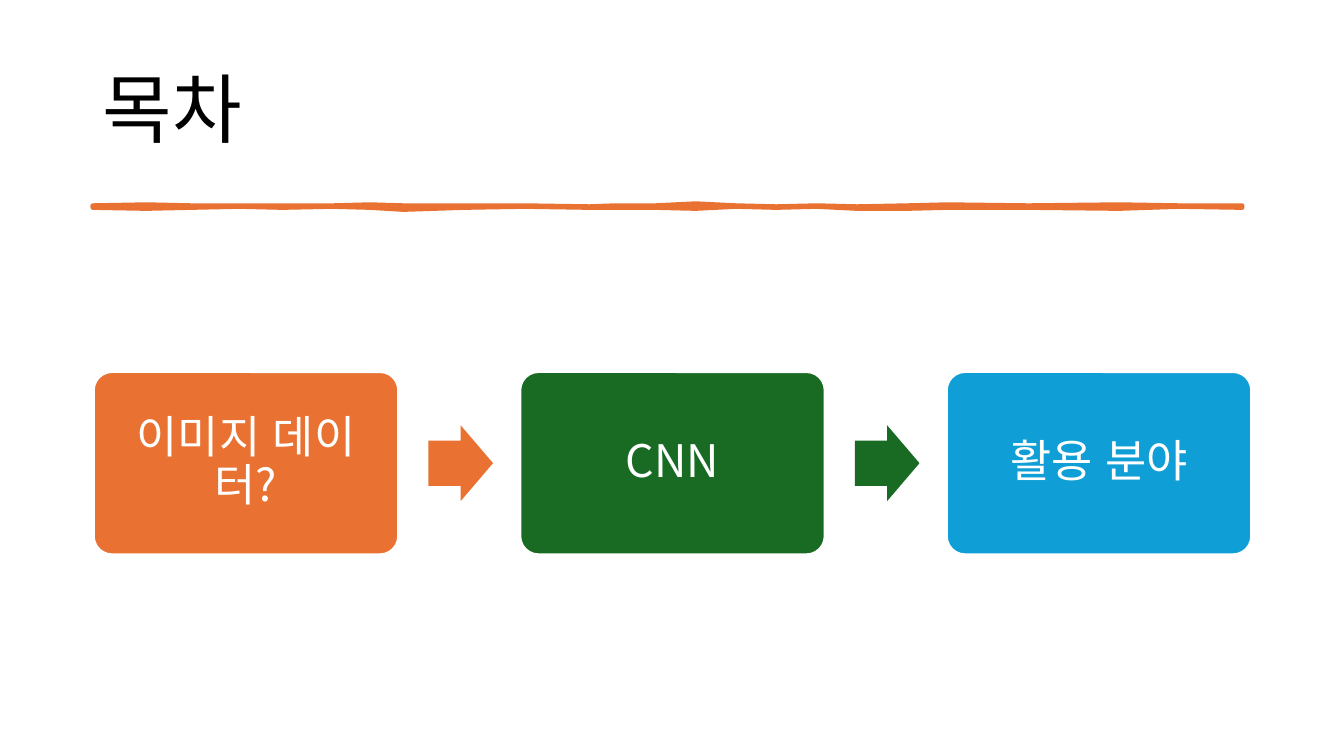
import pptx
import pptx.dml.color
import pptx.enum.lang
import pptx.enum.shapes
import pptx.enum.text
import pptx.oxml
import pptx.oxml.ns
import pptx.util

Inches, Pt = pptx.util.Inches, pptx.util.Pt
SHAPE = pptx.enum.shapes.MSO_SHAPE
ALIGN = pptx.enum.text.PP_ALIGN
MIDDLE = pptx.enum.text.MSO_ANCHOR.MIDDLE

FONT = "Noto Sans CJK KR"
ORANGE, GREEN, BLUE = "E97132", "196B24", "0F9ED5"
WHITE, BLACK = "FFFFFF", "000000"

TITLE = "목차"
STEPS = [("이미지 데이터?", ORANGE), ("CNN", GREEN), ("활용 분야", BLUE)]

# Hand-drawn rule: (x, upper edge, lower edge)
RULE = [
    (0.92, 2.04, 2.06), (1.45, 2.03, 2.07), (1.9, 2.04, 2.06),
    (2.37, 2.04, 2.05), (2.8, 2.04, 2.06), (3.3, 2.04, 2.05),
    (3.67, 2.03, 2.06), (4.0, 2.04, 2.08), (4.6, 2.04, 2.06),
    (5.2, 2.04, 2.05), (5.85, 2.05, 2.06), (6.1, 2.04, 2.06),
    (6.5, 2.04, 2.06), (6.9, 2.02, 2.07), (7.3, 2.04, 2.05),
    (7.7, 2.05, 2.06), (8.1, 2.04, 2.05), (8.5, 2.05, 2.07),
    (9.0, 2.04, 2.07), (9.4, 2.03, 2.06), (10.2, 2.04, 2.06),
    (11.1, 2.03, 2.07), (11.7, 2.04, 2.05), (12.32, 2.04, 2.06),
]

BOX_LEFT, BOX_TOP, BOX_W, BOX_H = 0.93, 3.69, 3.02, 1.81
BOX_STEP = 4.23
ARROW_OFFSET, ARROW_W, ARROW_H = 3.32, 0.64, 0.75
BOX_INSET = 0.13


def color(hex_string):
    return pptx.dml.color.RGBColor.from_string(hex_string)


def paint(shape, fill, line=None, width=0):
    shape.shadow.inherit = False
    shape.fill.solid()
    shape.fill.fore_color.rgb = color(fill)
    if line:
        shape.line.color.rgb = color(line)
        shape.line.width = Pt(width)
    else:
        shape.line.fill.background()


def write(shape, text, size, text_color, align):
    frame = shape.text_frame
    frame.text = text
    frame.word_wrap = True
    frame.vertical_anchor = MIDDLE
    paragraph = frame.paragraphs[0]
    paragraph.alignment = align
    paragraph.line_spacing = 0.9
    # Closing punctuation stays inside the margins
    paragraph._p.get_or_add_pPr().set("hangingPunct", "0")
    font = paragraph.font
    font.size = Pt(size)
    font.color.rgb = color(text_color)
    font.name = FONT
    font.language_id = pptx.enum.lang.MSO_LANGUAGE_ID.KOREAN
    # Hangul takes the East Asian typeface
    latin = paragraph._p.find(".//" + pptx.oxml.ns.qn("a:latin"))
    latin.addnext(pptx.oxml.parse_xml(
        f'<a:ea {pptx.oxml.ns.nsdecls("a")} typeface="{FONT}"/>'))


def add_rule(slide):
    upper = [(Inches(x), Inches(top)) for x, top, _ in RULE]
    lower = [(Inches(x), Inches(bottom)) for x, _, bottom in reversed(RULE)]
    builder = slide.shapes.build_freeform(*upper[0])
    builder.add_line_segments(upper[1:] + lower, close=True)
    paint(builder.convert_to_shape(), ORANGE, ORANGE, 3.25)


def add_step(slide, index, label, fill):
    left = BOX_LEFT + index * BOX_STEP
    box = slide.shapes.add_shape(
        SHAPE.ROUNDED_RECTANGLE, Inches(left), Inches(BOX_TOP),
        Inches(BOX_W), Inches(BOX_H))
    box.adjustments[0] = 0.1
    paint(box, fill, WHITE, 1.5)
    write(box, label, 32, WHITE, ALIGN.CENTER)
    frame = box.text_frame
    frame.margin_left = frame.margin_right = Inches(BOX_INSET)
    frame.margin_top = frame.margin_bottom = Inches(BOX_INSET)

    if index < len(STEPS) - 1:
        arrow = slide.shapes.add_shape(
            SHAPE.RIGHT_ARROW, Inches(left + ARROW_OFFSET),
            Inches(BOX_TOP + (BOX_H - ARROW_H) / 2),
            Inches(ARROW_W), Inches(ARROW_H))
        arrow.adjustments[0] = 0.6
        arrow.adjustments[1] = 0.5
        paint(arrow, fill)


def main():
    deck = pptx.Presentation()
    deck.slide_width, deck.slide_height = Inches(13.33), Inches(7.5)
    slide = deck.slides.add_slide(deck.slide_layouts[5])

    title = slide.shapes.title
    title.left, title.top = Inches(0.92), Inches(0.4)
    title.width, title.height = Inches(11.5), Inches(1.45)
    write(title, TITLE, 54, BLACK, ALIGN.LEFT)

    add_rule(slide)
    for index, (label, fill) in enumerate(STEPS):
        add_step(slide, index, label, fill)
    deck.save("out.pptx")


if __name__ == "__main__":
    main()
